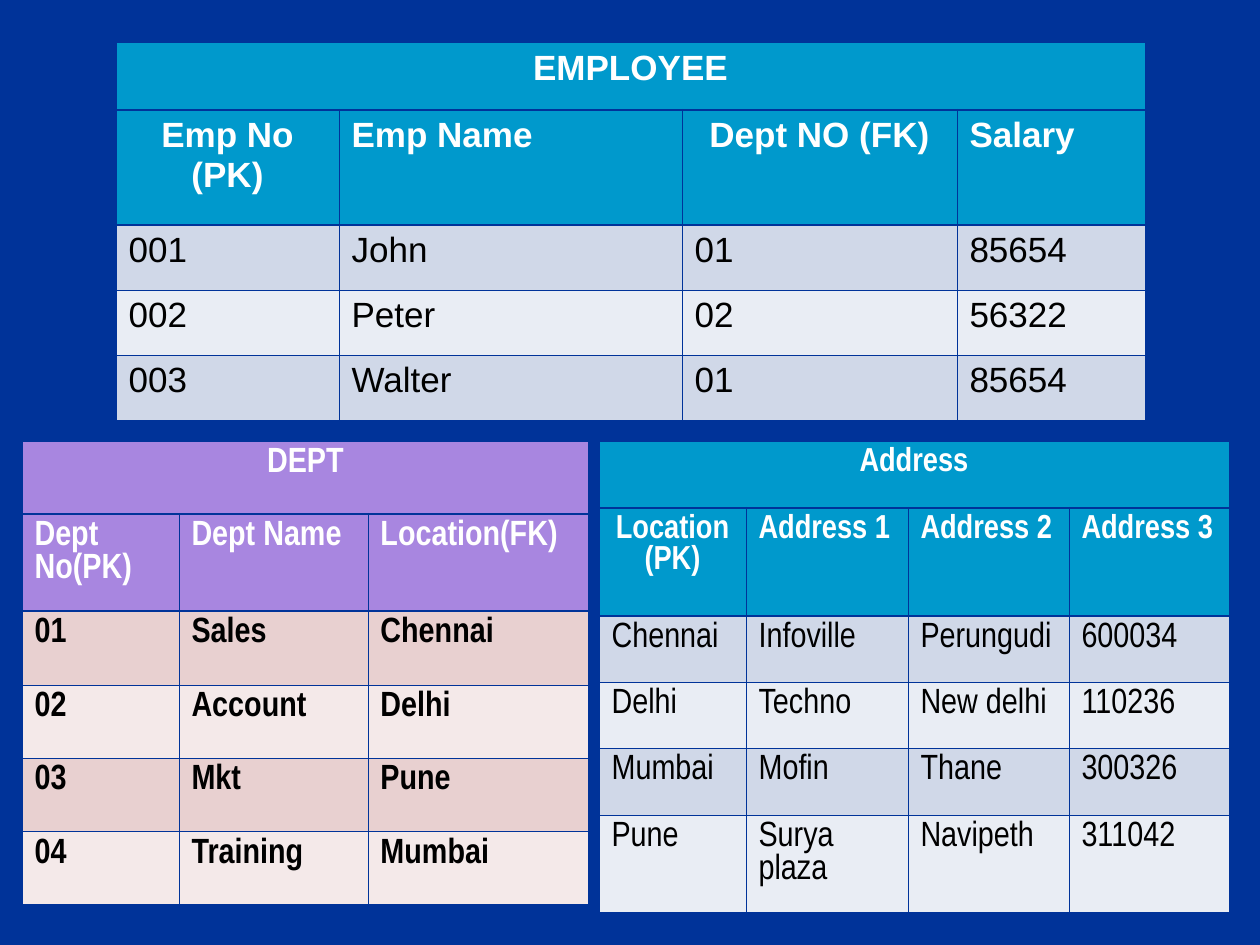
from lxml import etree
from pptx import Presentation, util as u
from pptx.dml.color import RGBColor
from pptx.enum import text
from pptx.oxml.ns import qn

PX = u.Inches(1) // 126
COLORS = {
    "navy": "003399", "teal": "0099CC", "purple": "A886E0",
    "blue_band": "D0D8E8", "blue_pale": "E9EDF4",
    "pink_band": "E8D0D0", "pink_pale": "F4E9E9",
    "white": "FFFFFF", "black": "000000",
}
HEADER_ROWS = 2
THIN, THICK = 0.45, 1.47

EMPLOYEE = [
    ["EMPLOYEE"],
    ["Emp No (PK)", "Emp Name", "Dept NO (FK)", "Salary"],
    ["001", "John", "01", "85654"],
    ["002", "Peter", "02", "56322"],
    ["003", "Walter", "01", "85654"],
]
DEPT = [
    ["DEPT"],
    ["Dept No(PK)", "Dept Name", "Location(FK)"],
    ["01", "Sales", "Chennai"],
    ["02", "Account", "Delhi"],
    ["03", "Mkt", "Pune"],
    ["04", "Training", "Mumbai"],
]
ADDRESS = [
    ["Address"],
    ["Location (PK)", "Address 1", "Address 2", "Address 3"],
    ["Chennai", "Infoville", "Perungudi", "600034"],
    ["Delhi", "Techno", "New delhi", "110236"],
    ["Mumbai", "Mofin", "Thane", "300326"],
    ["Pune", "Surya plaza", "Navipeth", "311042"],
]


def color(name):
    return RGBColor.from_string(COLORS[name])


def write(cell, words, *, font, size, ink, bold, centered):
    para = cell.text_frame.paragraphs[0]
    para.alignment = text.PP_ALIGN.CENTER if centered else text.PP_ALIGN.LEFT
    span = para.add_run()
    span.text = words
    span.font.name = font
    span.font.size = u.Pt(size)
    span.font.bold = bold
    span.font.color.rgb = color(ink)


def set_borders(cell, top, bottom):
    props = cell._tc.get_or_add_tcPr()
    widths = {"a:lnL": THIN, "a:lnR": THIN, "a:lnT": top, "a:lnB": bottom}
    for index, (tag, width) in enumerate(widths.items()):
        line = etree.Element(qn(tag), w=str(u.Pt(width)))
        fill = etree.SubElement(line, qn("a:solidFill"))
        etree.SubElement(fill, qn("a:srgbClr"), val=COLORS["navy"])
        props.insert(index, line)


def add_grid(page, left, top, widths, heights, rows, *, header, bands, font,
             header_size=20, body_bold=False, centered=()):
    frame = page.shapes.add_table(
        len(heights), len(widths), left * PX, top * PX,
        sum(widths) * PX, sum(heights) * PX)
    table = frame.table
    for column, width in zip(table.columns, widths):
        column.width = width * PX
    for row, height in zip(table.rows, heights):
        row.height = height * PX
    table.cell(0, 0).merge(table.cell(0, len(widths) - 1))

    for r in range(len(heights)):
        is_header = r < HEADER_ROWS
        fill = header if is_header else bands[(r - HEADER_ROWS) % 2]
        above = THICK if 0 < r <= HEADER_ROWS else THIN
        below = THICK if is_header else THIN
        for c in range(len(widths)):
            cell = table.cell(r, c)
            cell.fill.solid()
            cell.fill.fore_color.rgb = color(fill)
            set_borders(cell, above, below)
        for c, words in enumerate(rows[r]):
            write(table.cell(r, c), words, font=font,
                  size=header_size if is_header else 20,
                  ink="white" if is_header else "black",
                  bold=is_header or body_bold,
                  centered=r == 0 or (r == 1 and c in centered))


def main():
    deck = Presentation()
    deck.slide_width, deck.slide_height = u.Inches(10), u.Inches(7.5)
    page = deck.slides.add_slide(deck.slide_layouts[6])
    page.background.fill.solid()
    page.background.fill.fore_color.rgb = color("navy")

    blue = {"header": "teal", "bands": ("blue_band", "blue_pale")}
    pink = {"header": "purple", "bands": ("pink_band", "pink_pale")}
    add_grid(page, 116, 42, [223, 343, 275, 188], [68, 115, 65, 65, 65],
             EMPLOYEE, font="Arial", centered=(0, 2), **blue)
    add_grid(page, 22, 441, [157, 189, 221], [73, 97, 74, 73, 74, 73],
             DEPT, font="Arial Narrow", body_bold=True, **pink)
    add_grid(page, 599, 441, [147, 162, 161, 160], [67, 108, 66, 66, 67, 97],
             ADDRESS, font="Arial Narrow", header_size=19, centered=(0,), **blue)
    deck.save("out.pptx")


if __name__ == "__main__":
    main()
